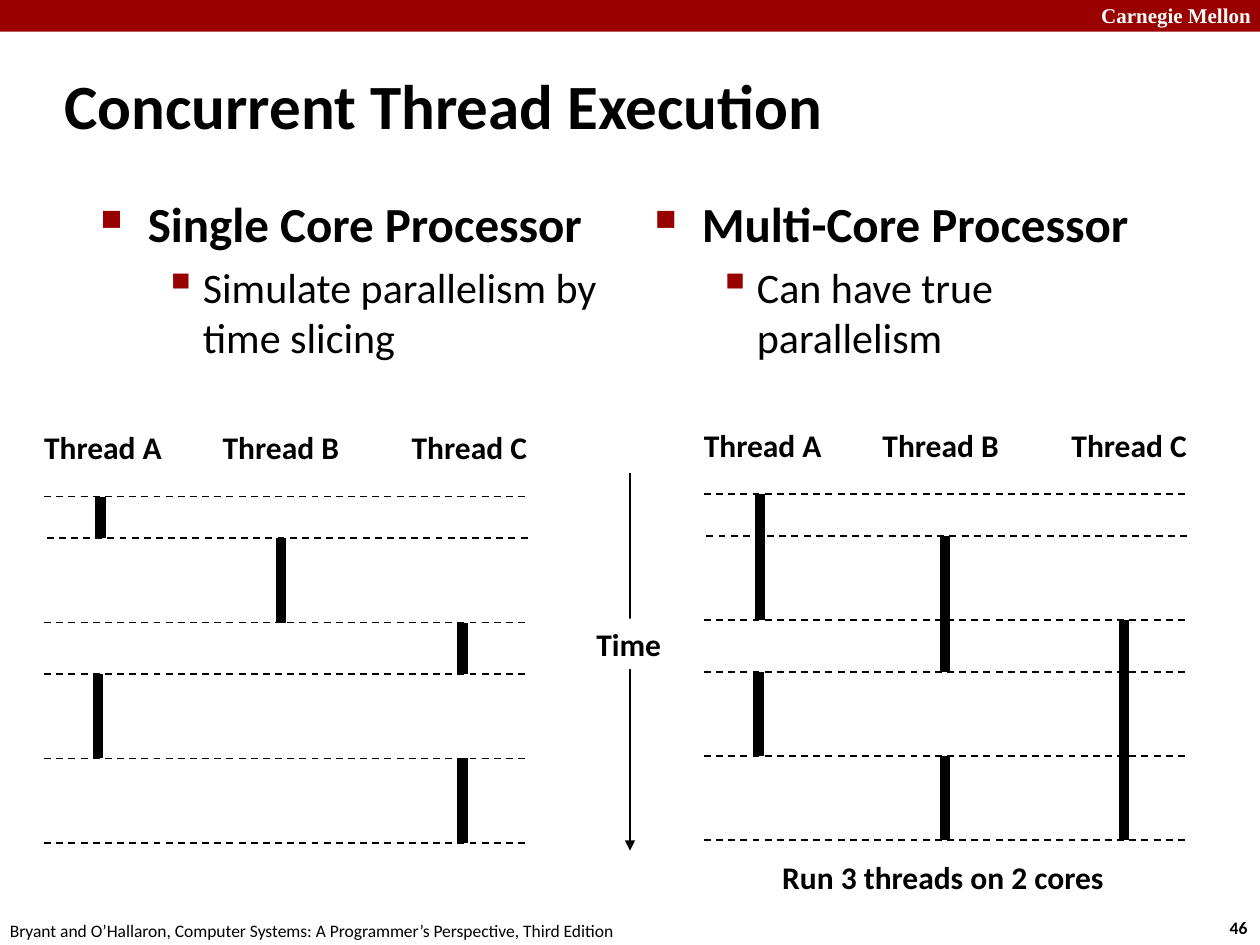
from lxml.etree import SubElement
from pptx import Presentation
from pptx.dml.color import RGBColor
from pptx.enum.dml import MSO_LINE
from pptx.enum.shapes import MSO_CONNECTOR, MSO_SHAPE
from pptx.enum.text import MSO_ANCHOR, PP_ALIGN
from pptx.oxml.ns import qn
from pptx.util import Cm, Pt

DASH = MSO_LINE.DASH
STRAIGHT = MSO_CONNECTOR.STRAIGHT
RECT = MSO_SHAPE.RECTANGLE
MIDDLE = MSO_ANCHOR.MIDDLE
LEFT, CENTER = PP_ALIGN.LEFT, PP_ALIGN.CENTER
RED, BLACK, WHITE = "990000", "000000", "FFFFFF"
color = RGBColor.from_string

deck = Presentation()
deck.slide_width, deck.slide_height = Cm(25.4), Cm(19.05)
slide = deck.slides.add_slide(deck.slide_layouts[5])
shapes = slide.shapes


def write(shape, lines, size, bold=True, ink=BLACK, face="Calibri", align=LEFT):
    frame = shape.text_frame
    frame.text = lines
    for para in frame.paragraphs:
        para.alignment = align
        for run in para.runs:
            run.font.size = Pt(size)
            run.font.bold = bold
            run.font.name = face
            run.font.color.rgb = color(ink)
    return frame


def rule(x1, y1, x2, y2, width):
    link = shapes.add_connector(STRAIGHT, Cm(x1), Cm(y1), Cm(x2), Cm(y2))
    link.line.color.rgb = color(BLACK)
    link.line.width = Pt(width)
    SubElement(link.element.spPr, qn("a:effectLst"))
    return link


band = shapes.add_shape(RECT, 0, 0, Cm(25.4), Cm(0.64))
band.shadow.inherit = False
band.fill.solid()
band.fill.fore_color.rgb = color(RED)
band.line.fill.background()

title = shapes.title
title.left, title.top, title.width, title.height = Cm(1.04), Cm(1.04), Cm(21.08), Cm(2.11)
frame = write(title, "Concurrent Thread Execution", 36)
frame.vertical_anchor = MIDDLE

notes = [
    (21.95, -0.08, 3.63, 0.76, "Carnegie Mellon", 12, True, WHITE, "Times New Roman"),
    (24.54, 18.36, 0.94, 0.69, "46", 10, True, BLACK, "Calibri"),
    (-0.05, 18.42, 12.9, 0.69,
     "Bryant and O’Hallaron, Computer Systems: A Programmer’s Perspective, Third Edition",
     10, False, BLACK, "Calibri"),
    (15.52, 17.17, 7.06, 1.02, "Run 3 threads on 2 cores", 18, True, BLACK, "Calibri"),
]
for x, y, w, h, words, size, bold, ink, face in notes:
    box = shapes.add_textbox(Cm(x), Cm(y), Cm(w), Cm(h))
    write(box, words, size, bold, ink, face)

topics = [
    (1.78, "Single Core Processor\nSimulate parallelism by time slicing"),
    (12.95, "Multi-Core Processor\nCan have true parallelism"),
]
levels = [(28, True, 0.95, 0.95, "■", 60), (24, False, 2.06, 0.79, "▪", 110)]
for x, words in topics:
    box = shapes.add_textbox(Cm(x), Cm(3.78), Cm(10.74), Cm(5))
    frame = write(box, words, 28)
    frame.word_wrap = True
    for level, para in enumerate(frame.paragraphs):
        size, bold, margin, hang, mark, scale = levels[level]
        para.level = level
        para.space_before = Pt(5 * level)
        props = para._p.get_or_add_pPr()
        props.set("marL", str(Cm(margin)))
        props.set("indent", str(-Cm(hang)))
        tint = SubElement(props, qn("a:buClr"))
        SubElement(tint, qn("a:srgbClr"), val=RED)
        SubElement(props, qn("a:buSzPct"), val=str(scale * 1000))
        SubElement(props, qn("a:buChar"), char=mark)
        para.runs[0].font.size = Pt(size)
        para.runs[0].font.bold = bold

arrow = rule(12.7, 9.53, 12.7, 17.15, 1)
SubElement(arrow.element.spPr.find(qn("a:ln")), qn("a:tailEnd"), type="triangle")
time = shapes.add_shape(RECT, Cm(11.76), Cm(12.47), Cm(1.83), Cm(1.02))
time.shadow.inherit = False
time.fill.solid()
time.fill.fore_color.rgb = color(WHITE)
time.line.fill.background()
frame = write(time, "Time", 18, align=CENTER)
frame.word_wrap = False

heads = [("Thread A", 0.64, 2.95), ("Thread B", 4.24, 2.9), ("Thread C", 8.05, 2.87)]
ticks = [10.01, 10.85, 12.55, 13.59, 15.29, 16.99]
single = [(2.03, 0, 1), (5.66, 1, 2), (9.32, 2, 3), (1.98, 3, 4), (9.32, 4, 5)]
multi = [(2.02, 0, 2), (5.75, 1, 3), (9.36, 2, 5), (1.99, 3, 4), (5.75, 4, 5)]
for dx, dy, bars in [(0, 0, single), (13.3, -0.05, multi)]:
    for name, x, w in heads:
        box = shapes.add_textbox(Cm(x + dx), Cm(8.51 + dy), Cm(w), Cm(1.02))
        write(box, name, 18)
    for x, start, end in bars:
        rule(x + dx, ticks[start] + dy, x + dx, ticks[end] + dy, 6)
    for row, y in enumerate(ticks):
        shift = dx + (0.05 if row == 1 else 0)
        line = rule(0.89 + shift, y + dy, 10.59 + shift, y + dy, 1)
        line.line.dash_style = DASH

deck.save("out.pptx")
